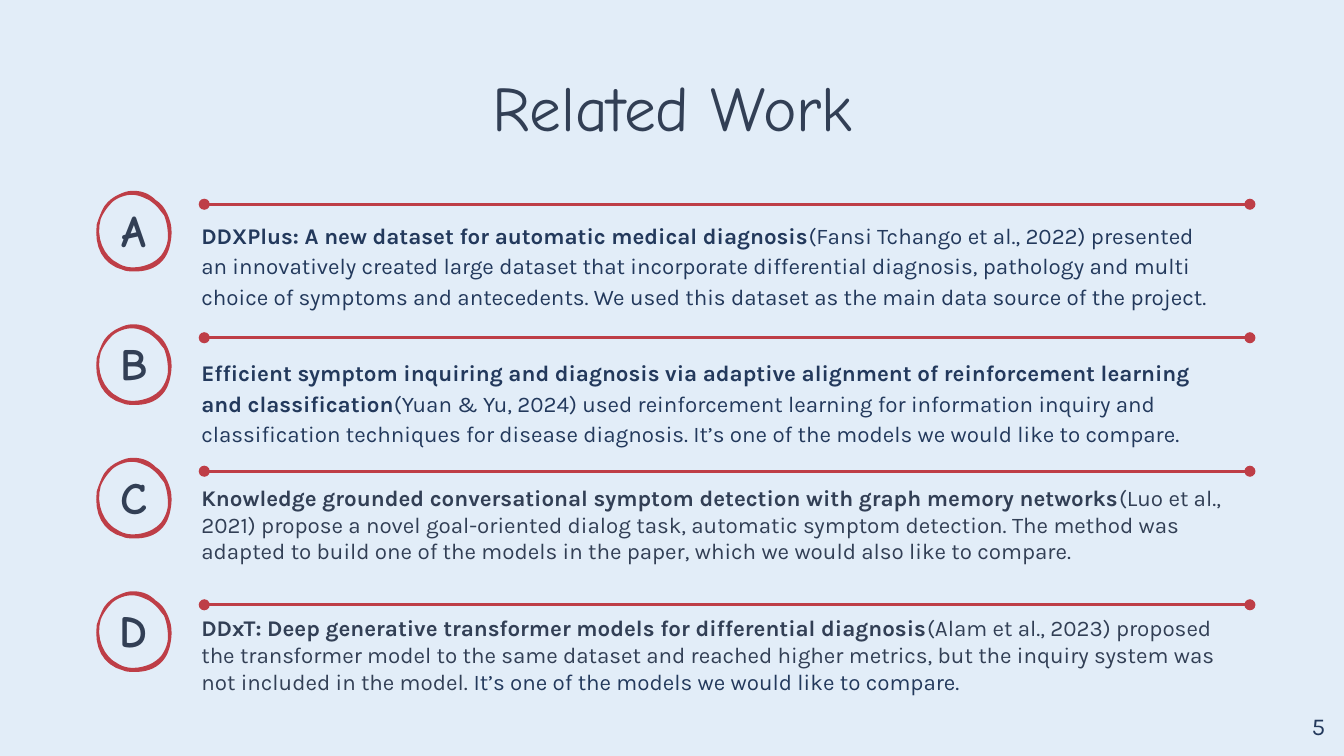
from lxml.etree import SubElement
from pptx import Presentation
from pptx.dml.color import RGBColor as Rgb
from pptx.enum.shapes import MSO_CONNECTOR as Conn
from pptx.enum.text import MSO_ANCHOR as Anchor, PP_ALIGN as Align
from pptx.oxml.ns import qn
from pptx.util import Inches, Pt

HUES = {"back": "E2EDF8", "red": "BE3E47", "slate": "323F55", "navy": "23395C"}
HEAD, BODY = "Comic Neue", "Karla"
WIDE, HIGH = 10, 10 * 9 / 16
TOP, STEP = 1.42, 2.98 / 3

OUTER = (29, 0), [
    (24, 0, 20, 2, 16, 4), (11, 7, 7, 11, 5, 17), (4, 19, 3, 22, 2, 25),
    (0, 41, 6, 55, 22, 59), (24, 60, 27, 60, 31, 60), (38, 60, 45, 58, 50, 53),
    (54, 49, 56, 44, 57, 38), (58, 33, 58, 26, 56, 21), (54, 15, 51, 10, 46, 7),
    (42, 3, 37, 0, 29, 0)]
INNER = (28, 3), [
    (33, 3, 37, 5, 41, 7), (44, 9, 45, 10, 47, 12), (49, 14, 50, 16, 52, 18),
    (54, 23, 55, 28, 55, 34), (55, 39, 53, 44, 50, 48), (46, 53, 38, 57, 29, 57),
    (25, 57, 21, 56, 18, 54), (7, 49, 1, 34, 5, 21), (7, 16, 10, 12, 14, 8),
    (18, 5, 23, 3, 28, 3)]

CLOSE = "It’s one of the models we would like to compare."
WORKS = [
    ("A", 1.62, 1.15, "navy",
     "DDXPlus: A new dataset for automatic medical diagnosis",
     "(Fansi Tchango et al., 2022) presented an innovatively created large dataset "
     "that incorporate differential diagnosis, pathology and multi choice of symptoms "
     "and antecedents. We used this dataset as the main data source of the project.", ""),
    ("B", 2.64, 1.15, "navy",
     "Efficient symptom inquiring and diagnosis via adaptive alignment of "
     "reinforcement learning and classification",
     "(Yuan & Yu, 2024) used reinforcement learning for information inquiry and "
     "classification techniques for disease diagnosis. " + CLOSE, ""),
    ("C", 3.6, 1.0, "slate",
     "Knowledge grounded conversational symptom detection with graph memory networks",
     "(Luo et al., 2021) propose a novel goal-oriented dialog task, automatic symptom "
     "detection. The method was adapted to build one of the models in the paper, "
     "which we would also like to compare.", ""),
    ("D", 4.57, 1.0, "slate",
     "DDxT: Deep generative transformer models for differential diagnosis",
     "(Alam et al., 2023) proposed the transformer model to the same dataset and "
     "reached higher metrics, but the inquiry system was not included in the model. ",
     CLOSE),
]


def hue(name):
    return Rgb.from_string(HUES[name])


def trace(path, left, top, count=8):
    start, curves = path
    points = [start]
    for curve in curves:
        knots = [points[-1], curve[:2], curve[2:4], curve[4:]]
        for i in range(1, count + 1):
            t = i / count
            parts = ((1 - t) ** 3, 3 * t * (1 - t) ** 2, 3 * t * t * (1 - t), t ** 3)
            points.append(tuple(sum(w * k[a] for w, k in zip(parts, knots))
                                for a in (0, 1)))
    return [(Inches(left + x / 100), Inches(top + y / 100)) for x, y in points]


class Board:
    def __init__(self, slide):
        self.slide = slide
        self.shapes = slide.shapes
        fill = slide.background.fill
        fill.solid()
        fill.fore_color.rgb = hue("back")

    def style(self, shape, size, face, color, align, bold=False,
              anchor=Anchor.TOP, foot=0, head=0):
        frame = shape.text_frame
        frame.word_wrap = True
        frame.vertical_anchor = anchor
        frame.margin_left = frame.margin_right = Inches(0.1)
        frame.margin_top, frame.margin_bottom = Inches(head), Inches(foot)
        para = frame.paragraphs[0]
        para.alignment = align
        font = para.font
        font.size, font.name, font.bold = Pt(size), face, bold
        font.color.rgb = hue(color)
        return para

    def title(self, text, box):
        shape = self.shapes.title
        shape.left, shape.top, shape.width, shape.height = map(Inches, box)
        shape.text_frame.text = text
        self.style(shape, 34, HEAD, "slate", Align.CENTER)

    def label(self, text, box, *look, **more):
        shape = self.shapes.add_textbox(*map(Inches, box))
        shape.text_frame.text = text
        return self.style(shape, *look, **more)

    def ring(self, left, top):
        outer, inner = (trace(path, left, top) for path in (OUTER, INNER))
        pen = self.shapes.build_freeform(*outer[0])
        pen.add_line_segments(outer[1:])
        pen.move_to(*inner[0])
        pen.add_line_segments(inner[1:])
        shape = pen.convert_to_shape()
        shape.shadow.inherit = False
        shape.fill.solid()
        shape.fill.fore_color.rgb = hue("red")
        shape.line.fill.background()

    def rule(self, start, end, y):
        line = self.shapes.add_connector(
            Conn.STRAIGHT, *map(Inches, (start, y, end, y)))
        line.line.color.rgb = hue("red")
        line.line.width = Pt(1.5)
        props = line._element.spPr
        for tag in ("a:headEnd", "a:tailEnd"):
            SubElement(props.find(qn("a:ln")), qn(tag), type="oval")
        SubElement(props, qn("a:effectLst"))

    def work(self, top, space, color, name, text, close):
        para = self.label("", (1.4, top, 7.8, 0.43), 12, BODY, color, Align.LEFT)
        para.line_spacing = space
        for part, bold, tint in ((name, True, color), (text, False, color),
                                 (close, False, "navy")):
            if part:
                run = para.add_run()
                run.text = part
                font = run.font
                font.size, font.name, font.bold = Pt(12), BODY, bold
                font.color.rgb = hue(tint)


def main():
    deck = Presentation()
    deck.slide_width, deck.slide_height = Inches(WIDE), Inches(HIGH)
    board = Board(deck.slides.add_slide(deck.slide_layouts[5]))
    board.title("Related Work", (0.79, 0.51, 8.43, 0.54))
    for i, (mark, *work) in enumerate(WORKS):
        top = TOP + i * STEP
        board.ring(0.7, top)
        board.rule(9.3, 1.52, top + 0.1)
        board.work(*work)
        board.label(mark, (0.75, top + 0.06, 0.49, 0.48), 24, HEAD, "slate",
                    Align.CENTER, bold=True, anchor=Anchor.MIDDLE, foot=0.03)
    board.label("5", (9.36, 5.19, 0.6, 0.43), 13, BODY, "navy", Align.RIGHT,
                head=0.1, foot=0.1)
    deck.save("out.pptx")


if __name__ == "__main__":
    main()
